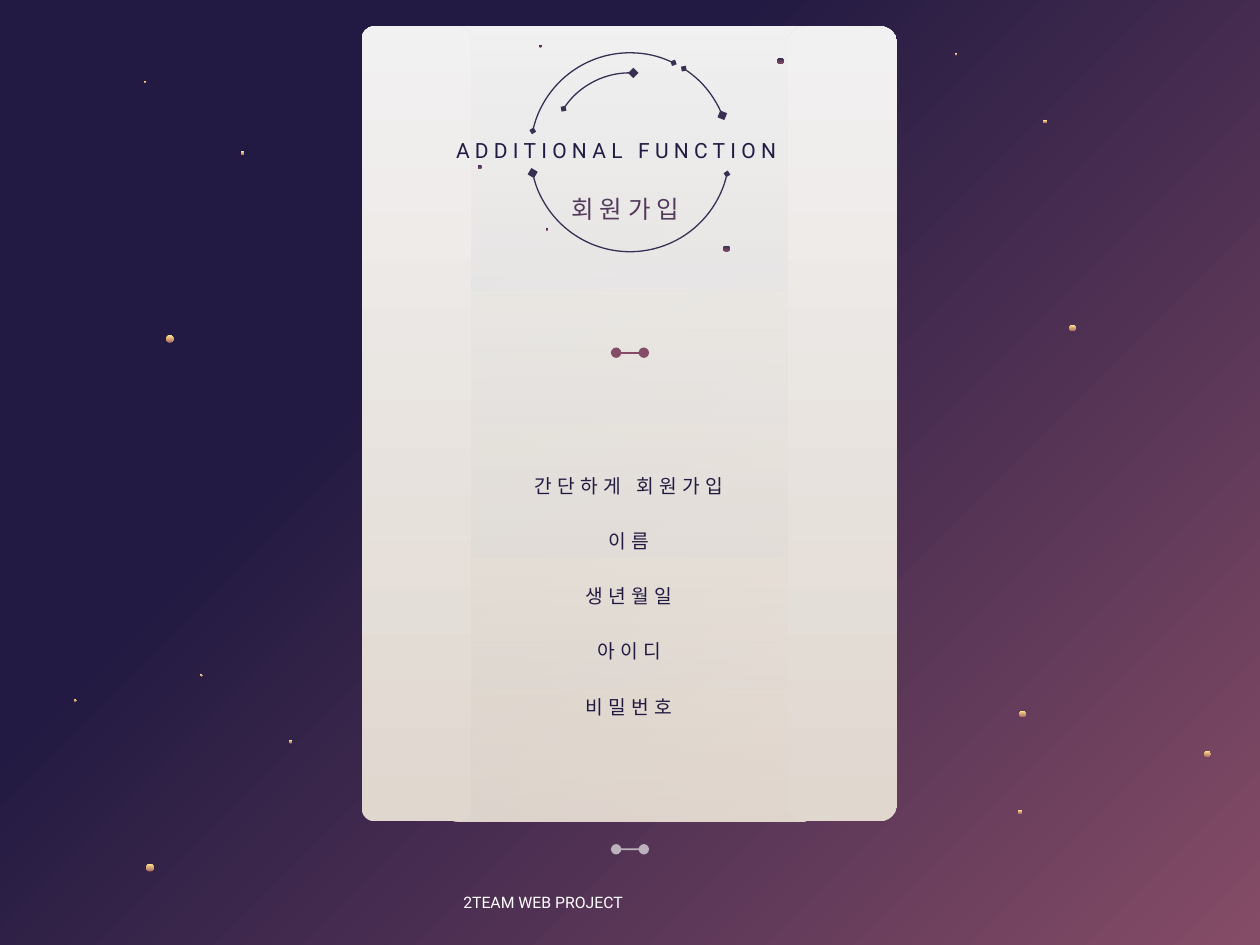
from lxml import etree
from pptx import Presentation
from pptx.dml.color import RGBColor
from pptx.enum.shapes import MSO_CONNECTOR, MSO_SHAPE
from pptx.enum.text import MSO_ANCHOR, MSO_AUTO_SIZE, PP_ALIGN
from pptx.oxml.ns import qn
from pptx.util import Cm, Pt

ARC, OVAL, ROUNDED = MSO_SHAPE.ARC, MSO_SHAPE.OVAL, MSO_SHAPE.ROUNDED_RECTANGLE
STRAIGHT = MSO_CONNECTOR.STRAIGHT
CENTER, JUSTIFY = PP_ALIGN.CENTER, PP_ALIGN.JUSTIFY
MIDDLE, NO_AUTOFIT = MSO_ANCHOR.MIDDLE, MSO_AUTO_SIZE.NONE

NAVY = RGBColor(0x22, 0x1A, 0x42)
INDIGO = RGBColor(0x38, 0x2F, 0x52)
PLUM = RGBColor(0x85, 0x4C, 0x67)
MAUVE = RGBColor(0x54, 0x3B, 0x5B)
COPPER = RGBColor(0xAC, 0x66, 0x5F)
GOLD = RGBColor(0xFC, 0xE2, 0x8B)
CREAM = RGBColor(0xFE, 0xF9, 0xE8)
LIGHT = RGBColor(0xF2, 0xF2, 0xF2)
SAND = RGBColor(0xE0, 0xD7, 0xCF)
PEARL = RGBColor(0xF2, 0xF1, 0xF1)
WHITE = RGBColor(0xFF, 0xFF, 0xFF)

KOREAN, LATIN = "Noto Sans CJK KR", "Roboto"
UPWARD = 90
MID_X = 12.7
RING_Y = 3.07

# Left, top and diameter in cm
GOLD_DOTS = [
    (19.25, 1.07, 0.05), (2.9, 1.63, 0.05), (21.03, 2.41, 0.08), (4.85, 3.05, 0.08),
    (2.95, 17.42, 0.15), (20.52, 16.33, 0.08), (24.28, 15.14, 0.13),
    (20.55, 14.33, 0.13), (21.56, 6.55, 0.13), (3.35, 6.76, 0.15),
    (4.04, 13.59, 0.05), (5.82, 14.91, 0.08), (1.5, 14.1, 0.05),
]
PLUM_DOTS = [
    (10.87, 0.91, 0.05), (11, 4.6, 0.05), (9.63, 3.33, 0.08),
    (14.58, 4.95, 0.13), (15.67, 1.17, 0.13),
]
# Diameter in cm, start and end in clockwise degrees, size of the end marker
ARCS = [
    (4.01, 12.6, 167.9, "med"), (4.01, 192.4, 296, "sm"),
    (4.01, 302.8, 338.2, "med"), (3.2, 213.2, 272.45, "med"),
]


def set_gradient(fill, first, last, angle=UPWARD):
    fill.gradient()
    fill.gradient_angle = angle
    for stop, color in zip(fill.gradient_stops, (first, last)):
        stop.color.rgb = color


def set_alpha(color_element, percent):
    alpha = etree.SubElement(color_element, qn("a:alpha"))
    alpha.set("val", str(percent * 1000))


def add_ends(shape, kind, head_size="med", tail_size="med"):
    ln = shape._element.xpath(".//a:ln")[0]
    for tag, size in (("a:headEnd", head_size), ("a:tailEnd", tail_size)):
        etree.SubElement(ln, qn(tag), type=kind, w=size, len=size)


def add_filled(slide, kind, box, first, last):
    sp = slide.shapes.add_shape(kind, *(Cm(v) for v in box))
    sp.shadow.inherit = False
    sp.line.fill.background()
    set_gradient(sp.fill, first, last)
    return sp


def add_dots(slide, dots, first, last):
    for left, top, size in dots:
        add_filled(slide, OVAL, (left, top, size, size), first, last)


def add_card(slide, left, top, width, height):
    side = 2.21
    # Translucent middle panel
    middle = add_filled(slide, ROUNDED, (left + 1.8, top, 7.21, height), CREAM, LIGHT)
    middle.adjustments[0] = 0.02
    set_alpha(middle._element.xpath(".//a:gs/a:srgbClr")[0], 82)
    # Side panels
    for x, radius in ((left + width - side, 0.16), (left, 0.12)):
        panel = add_filled(slide, ROUNDED, (x, top, side, height), SAND, PEARL)
        panel.adjustments[0] = radius


def add_ring(slide, center_x, center_y):
    for size, start, end, tail_size in ARCS:
        sp = slide.shapes.add_shape(ARC, Cm(center_x - size / 2), Cm(center_y - size / 2),
                                    Cm(size), Cm(size))
        sp.shadow.inherit = False
        sp.fill.background()
        sp.line.color.rgb = INDIGO
        sp.line.width = Pt(0.75)
        # One degree is 60000 units, one adjustment step 100000
        sp.adjustments[0], sp.adjustments[1] = start * 0.6, end * 0.6
        add_ends(sp, "diamond", "sm", tail_size)


def add_divider(slide, center_x, y, color, opacity=100):
    half = 0.28
    line = slide.shapes.add_connector(STRAIGHT, Cm(center_x - half), Cm(y),
                                      Cm(center_x + half), Cm(y))
    line.line.color.rgb = color
    line.line.width = Pt(1)
    if opacity < 100:
        set_alpha(line._element.xpath(".//a:ln//a:srgbClr")[0], opacity)
    add_ends(line, "oval")
    etree.SubElement(line._element.spPr, qn("a:effectLst"))


def set_text(sp, text, font, size, color, align, line_spacing=1.0, before=0, tracking=0):
    tf = sp.text_frame
    tf.text = text
    tf.word_wrap = True
    tf.auto_size = NO_AUTOFIT
    tf.vertical_anchor = MIDDLE
    for i, p in enumerate(tf.paragraphs):
        p.alignment = align
        p.line_spacing = line_spacing
        p.space_before = Pt(before if i else 0)
        for r in p.runs:
            r.font.size = Pt(size)
            r.font.name = font
            r.font.color.rgb = color
            rPr = r._r.get_or_add_rPr()
            etree.SubElement(rPr, qn("a:ea"), typeface=font)
            if tracking:
                rPr.set("spc", str(tracking * 100))


def place(slide, sp, left, top, width, height):
    sp.left, sp.top, sp.width, sp.height = Cm(left), Cm(top), Cm(width), Cm(height)
    # Bring to the front
    slide.shapes._spTree.append(sp._element)


def add_heading(slide, left, top):
    title = slide.shapes.title
    place(slide, title, left, top, 7.57, 1.04)
    set_text(title, "ADDITIONAL FUNCTION", LATIN, 12, NAVY, JUSTIFY, 0.9, tracking=3)
    subtitle = slide.shapes.add_textbox(Cm(left + 2.34), Cm(top + 1.04), Cm(2.79), Cm(1.32))
    set_text(subtitle, "회 원 가 입", KOREAN, 14, MAUVE, JUSTIFY, 0.9)


def add_fields(slide, left, top, width, height):
    body = slide.placeholders[1]
    place(slide, body, left, top, width, height)
    fields = ["간단하게 회원가입", "이름", "생년월일", "아이디", "비밀번호"]
    set_text(body, "\n".join(fields), KOREAN, 11, NAVY, CENTER, 1.75, 8.5, 3)
    for p in body.text_frame.paragraphs:
        pPr = p._p.get_or_add_pPr()
        pPr.set("marL", "0")
        pPr.set("indent", "0")
        etree.SubElement(pPr, qn("a:buNone"))


def add_footer(slide, left, top, width, height):
    sp = slide.shapes.add_textbox(Cm(left), Cm(top), Cm(width), Cm(height))
    set_text(sp, "2TEAM WEB PROJECT", LATIN, 9, WHITE, JUSTIFY)


def main():
    prs = Presentation()
    prs.slide_width, prs.slide_height = Cm(25.4), Cm(19.05)
    slide = prs.slides.add_slide(prs.slide_layouts[1])

    # Night sky
    background = slide.background.fill
    set_gradient(background, NAVY, PLUM, 315)
    background.gradient_stops[0].position = 0.34
    add_dots(slide, GOLD_DOTS, COPPER, GOLD)

    # Card and its ornaments
    add_card(slide, 7.29, 0.53, 10.8, 16.03)
    add_dots(slide, PLUM_DOTS, PLUM, INDIGO)
    add_ring(slide, MID_X, RING_Y)
    add_divider(slide, MID_X, 7.11, PLUM)
    add_divider(slide, MID_X, 17.12, WHITE, 62)

    # Text
    add_heading(slide, 8.94, 2.54)
    add_fields(slide, 9.8, 7.98, 5.77, 7.72)
    add_footer(slide, 9.09, 17.68, 7.21, 1.02)
    prs.save("out.pptx")


if __name__ == "__main__":
    main()
